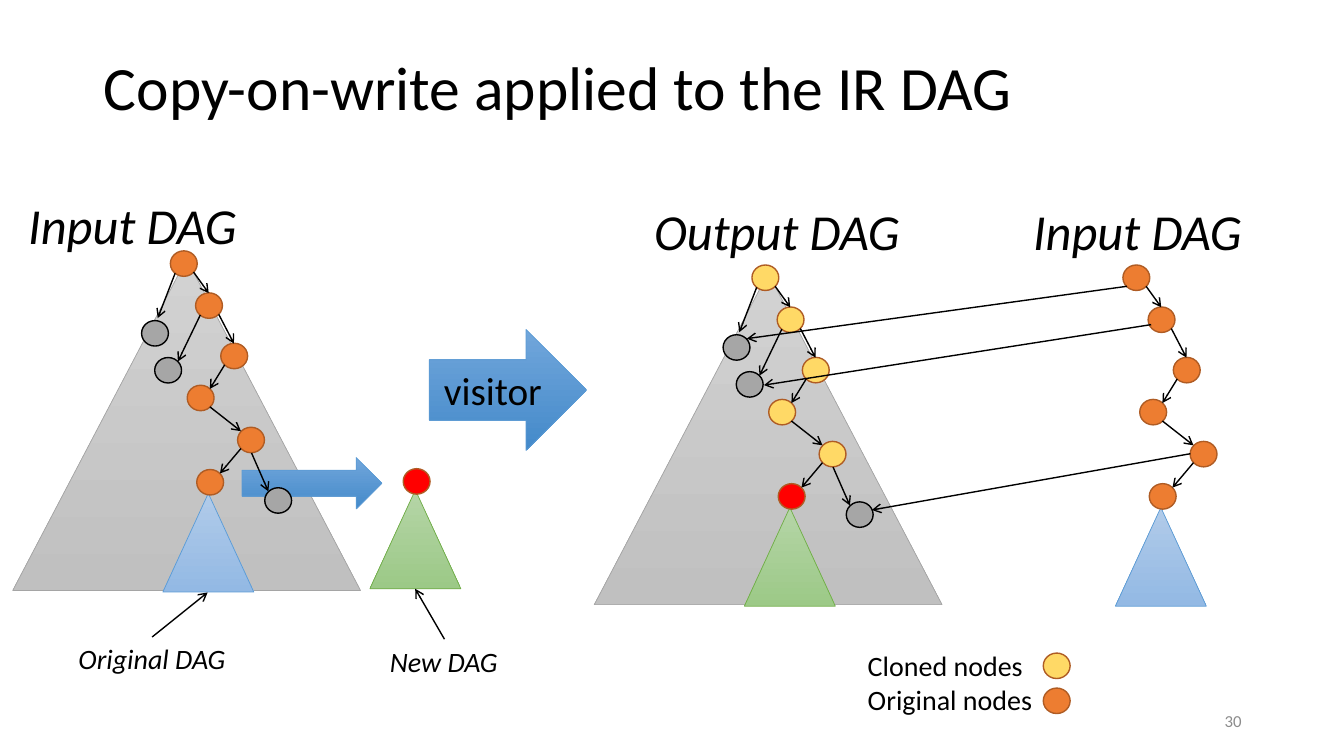
import pptx
import pptx.dml.color
import pptx.enum.shapes
import pptx.enum.text
import pptx.oxml.ns
import pptx.util
from lxml import etree

Pt = pptx.util.Pt
SHAPES = pptx.enum.shapes.MSO_SHAPE
ALIGN = pptx.enum.text.PP_ALIGN
ANCHOR = pptx.enum.text.MSO_ANCHOR
AUTO_SIZE = pptx.enum.text.MSO_AUTO_SIZE

BLACK, RED, GREY = "000000", "FF0000", "A6A6A6"
ORIGINAL, CLONED, NODE_LINE = "ED7D31", "FFD966", "AF5C24"
GREY_TREE = {"fill": ("D2D2D2", "C0C0C0"), "line": "A5A5A5"}
BLUE_TREE = {"fill": ("B1CBE9", "93B9E4"), "line": "5B9BD5"}
GREEN_TREE = {"fill": ("B5D5A7", "9CC987"), "line": "70AD47"}
BLUE_ARROW = {"fill": ("71A6DB", "448ACA"), "line": "5B9BD5"}

NODE_SIZE = (19.2, 18.2)
SUBTREE_SIZE = (65, 70.5)
# Offsets from the top left corner of a DAG's root node.
PATH_NODES = [(0, 0), (18, 30), (36, 66), (12, 96), (48, 126), (18.8, 156.2)]
PATH_EDGES = [
    (16.6, 15.2, 27.4, 30.2),
    (34.6, 45.4, 45.4, 66.2),
    (38.8, 81.4, 28.2, 98.6),
    (28.2, 111.4, 50.4, 128.8),
    (50.4, 141.2, 35.4, 159),
]
SHARED_NODES = [(-20.6, 49.8), (-11.2, 76.2), (67.4, 169.2)]
SHARED_EDGES = [
    (3.4, 16, -9, 48),
    (21.4, 45.8, 5.4, 79),
    (58, 144.4, 70, 171.8),
]


def colour(value):
    return pptx.dml.color.RGBColor.from_string(value)


def add_filled_shape(slide, kind, box, fill, line, line_width):
    """Add a shape; fill is one colour, or a pair for a downward gradient."""
    shape = slide.shapes.add_shape(kind, *map(Pt, box))
    shape.shadow.inherit = False
    if isinstance(fill, str):
        shape.fill.solid()
        shape.fill.fore_color.rgb = colour(fill)
    else:
        shape.fill.gradient()
        shape.fill.gradient_angle = 270
        for stop, value in zip(shape.fill.gradient_stops, fill):
            stop.color.rgb = colour(value)
    shape.line.color.rgb = colour(line)
    shape.line.width = Pt(line_width)
    return shape


def add_node(slide, left, top, fill, line=NODE_LINE):
    add_filled_shape(slide, SHAPES.OVAL, (left, top, *NODE_SIZE), fill, line, 1)


def add_tree(slide, box, style):
    add_filled_shape(slide, SHAPES.ISOSCELES_TRIANGLE, box, **style, line_width=0.5)


def add_arrow(slide, start_x, start_y, end_x, end_y):
    connector = slide.shapes.add_connector(
        pptx.enum.shapes.MSO_CONNECTOR.STRAIGHT,
        Pt(start_x), Pt(start_y), Pt(end_x), Pt(end_y))
    connector.line.color.rgb = colour(BLACK)
    connector.line.width = Pt(1)
    qualified = pptx.oxml.ns.qn
    line = connector.line._get_or_add_ln()
    etree.SubElement(line, qualified("a:tailEnd"), type="arrow")
    etree.SubElement(connector._element.spPr, qualified("a:effectLst"))


def write_text(shape, lines, size, text_colour=BLACK, italic=False,
               align=ALIGN.LEFT, anchor=ANCHOR.TOP):
    frame = shape.text_frame
    frame.vertical_anchor = anchor
    frame.text = "\n".join(lines)
    font_format = {"name": "Calibri", "size": Pt(size), "italic": italic}
    for paragraph in frame.paragraphs:
        paragraph.alignment = align
        for run in paragraph.runs:
            for name, value in font_format.items():
                setattr(run.font, name, value)
            run.font.color.rgb = colour(text_colour)


def add_label(slide, box, text, size):
    """Add an italic caption that stays on one line."""
    label = slide.shapes.add_textbox(*map(Pt, box))
    write_text(label, [text], size, italic=True)
    label.text_frame.word_wrap = False
    label.text_frame.auto_size = AUTO_SIZE.SHAPE_TO_FIT_TEXT


def add_block_arrow(slide, box):
    return add_filled_shape(slide, SHAPES.RIGHT_ARROW, box, **BLUE_ARROW, line_width=0.5)


def add_backdrop(slide, left, top):
    add_tree(slide, (left - 112.6, top + 5.8, 248.4, 236.8), GREY_TREE)


def add_path(slide, left, top, node_fill, last_fill, subtree_style):
    """Draw the visited path and the subtree below its last node."""
    add_tree(slide, (left - 5.4, top + 173.2, *SUBTREE_SIZE), subtree_style)
    fills = [node_fill] * (len(PATH_NODES) - 1) + [last_fill]
    for (x, y), fill in zip(PATH_NODES, fills):
        add_node(slide, left + x, top + y, fill)
    add_edges(slide, left, top, PATH_EDGES)


def add_shared_nodes(slide, left, top):
    for x, y in SHARED_NODES:
        add_node(slide, left + x, top + y, GREY, BLACK)
    add_edges(slide, left, top, SHARED_EDGES)


def add_edges(slide, left, top, edges):
    for start_x, start_y, end_x, end_y in edges:
        add_arrow(slide, left + start_x, top + start_y, left + end_x, top + end_y)


def add_input_side(slide, left, top):
    add_backdrop(slide, left, top)
    add_label(slide, (left - 108.7, top - 43.8, 165, 51), "Input DAG", 36)
    add_block_arrow(slide, (left + 51.1, top + 147.6, 100, 36.7))
    add_path(slide, left, top, ORIGINAL, ORIGINAL, BLUE_TREE)
    add_shared_nodes(slide, left, top)
    add_label(slide, (left - 72.7, top + 275.8, 120.2, 31.5), "Original DAG", 20)
    add_arrow(slide, left - 13, top + 275.8, left + 26.6, top + 244)


def add_new_subtree(slide, left, top):
    add_tree(slide, (left, top, *SUBTREE_SIZE), GREEN_TREE)
    add_node(slide, left + 23.8, top - 15.2, RED)
    add_label(slide, (left + 7.2, top + 106.6, 92.2, 31.5), "New DAG", 20)
    add_arrow(slide, left + 53.3, top + 106.6, left + 32.4, top + 70.6)


def add_output_side(slide, left, top, input_left):
    """Draw the output DAG, the input path, and the links to shared nodes."""
    add_backdrop(slide, left, top)
    add_label(slide, (left - 77, top - 49.6, 191.5, 51), "Output DAG", 36)
    add_path(slide, left, top, CLONED, RED, GREEN_TREE)
    add_path(slide, input_left, top, ORIGINAL, ORIGINAL, BLUE_TREE)
    add_shared_nodes(slide, left, top)
    links = [((2.9, 15.2), (-3.6, 52.6)),
             ((20.2, 42.6), (8.6, 85.8)),
             ((48.2, 134.8), (85.7, 175))]
    for (start_x, start_y), (end_x, end_y) in links:
        add_arrow(slide, input_left + start_x, top + start_y, left + end_x, top + end_y)
    add_label(slide, (input_left - 71.3, top - 49.6, 165, 51), "Input DAG", 36)


def add_legend(slide, left, top):
    legend = slide.shapes.add_textbox(Pt(left), Pt(top), Pt(142.5), Pt(55.5))
    legend.text_frame.word_wrap = True
    write_text(legend, ["Cloned nodes", "Original nodes"], 20)
    for row, fill in enumerate([CLONED, ORIGINAL]):
        add_node(slide, left + 132.5, top + 6.5 + 25 * row, fill)


def add_title(slide, box):
    title = slide.shapes.title
    for name, value in zip(("left", "top", "width", "height"), box):
        setattr(title, name, Pt(value))
    write_text(title, ["Copy-on-write applied to the IR DAG"], 44, anchor=ANCHOR.MIDDLE)
    title.text_frame.paragraphs[0].line_spacing = 0.9


def add_page_number(slide, box):
    number = slide.shapes.add_textbox(*map(Pt, box))
    write_text(number, ["30"], 12, "8C8C8C", align=ALIGN.RIGHT, anchor=ANCHOR.MIDDLE)


def main():
    presentation = pptx.Presentation()
    presentation.slide_width, presentation.slide_height = Pt(960), Pt(540)
    slide = presentation.slides.add_slide(presentation.slide_layouts[5])
    add_title(slide, (67, 20, 825, 90))
    add_input_side(slide, 121.7, 179.2)
    add_new_subtree(slide, 264.2, 350)
    visitor = add_block_arrow(slide, (306.7, 235.4, 112.3, 86.4))
    write_text(visitor, ["visitor"], 28, align=ALIGN.CENTER, anchor=ANCHOR.MIDDLE)
    add_output_side(slide, 537.1, 189.3, 802.1)
    add_legend(slide, 612.7, 460)
    add_page_number(slide, (678, 500.4, 216, 28.8))
    presentation.save("out.pptx")


if __name__ == "__main__":
    main()
